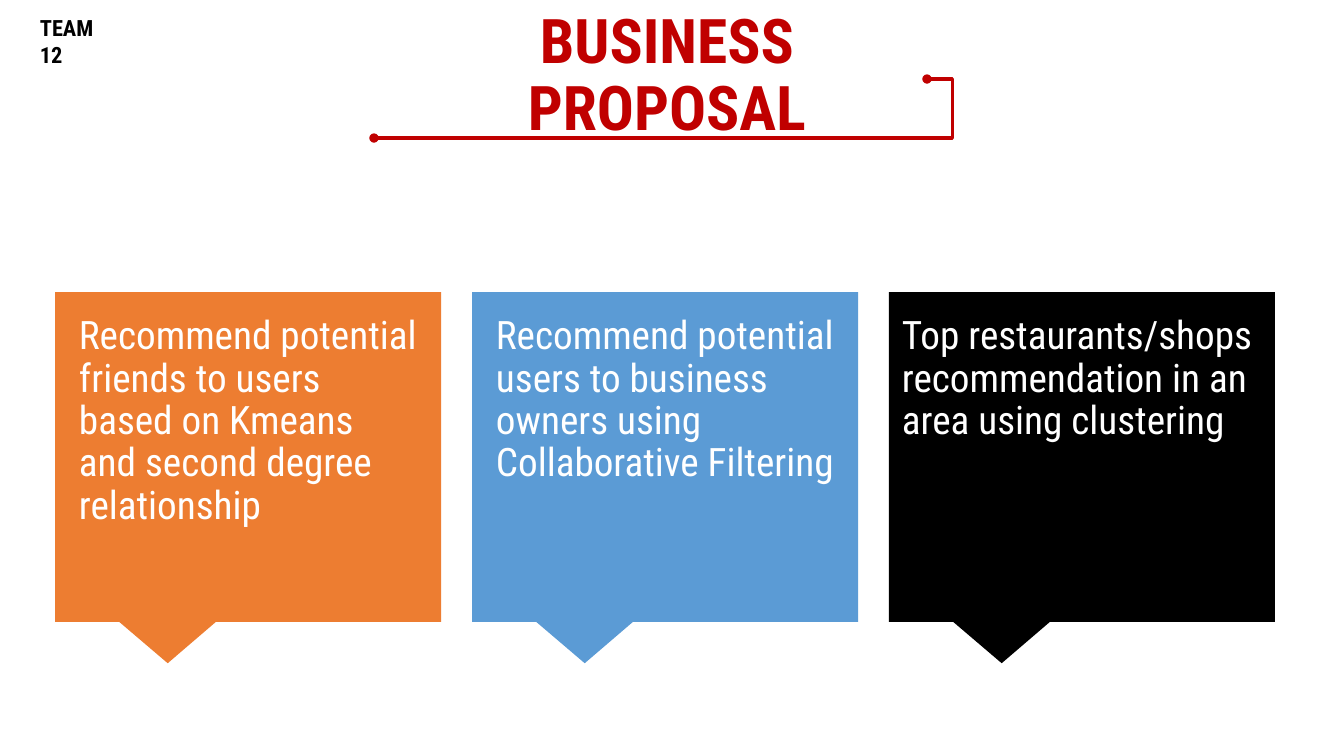
from dataclasses import dataclass

from lxml import etree
from pptx import Presentation
from pptx import util as u
from pptx.dml.color import RGBColor
from pptx.enum import shapes, text
from pptx.oxml.ns import qn

EMU_PER_PX = 914400 / 100.8
FONT = "Roboto Condensed"
RED, BLACK, WHITE = "C00000", "000000", "FFFFFF"

CARD_LEFT, CARD_TOP, CARD_WIDTH, CARD_HEIGHT = 55, 292, 386, 330
CARD_PITCH = 417
TEXT_TOP, TEXT_HEIGHT, TEXT_INSET = 303, 294, 13


@dataclass
class Proposal:
    wording: str
    fill: str
    side_gap: int


PROPOSALS = [
    Proposal("Recommend potential friends to users based on Kmeans "
             "and second degree relationship", "ED7D31", 11),
    Proposal("Recommend potential users to business owners using "
             "Collaborative Filtering", "5B9BD5", 11),
    Proposal("Top restaurants/shops recommendation in an area using clustering",
             BLACK, 0),
]


def px(length: int) -> u.Emu:
    return u.Emu(round(length * EMU_PER_PX))


def color(value: str) -> RGBColor:
    return RGBColor.from_string(value)


def write(frame, wording: str, size: int, fill: str, bold: bool = False):
    """Fill the frame with one formatted paragraph and return it."""
    frame.word_wrap = True
    frame.text = wording
    para = frame.paragraphs[0]
    for span in para.runs:
        span.font.name = FONT
        span.font.size = u.Pt(size)
        span.font.bold = bold
        span.font.color.rgb = color(fill)
    return para


def add_title(page) -> None:
    title = page.shapes.title
    title.left, title.top, title.width, title.height = map(px, (407, 38, 520, 78))
    frame = title.text_frame
    para = write(frame, "BUSINESS PROPOSAL", 44, RED, bold=True)
    para.alignment = text.PP_ALIGN.CENTER
    para.line_spacing = 0.9
    frame.vertical_anchor = text.MSO_ANCHOR.MIDDLE
    frame.auto_size = text.MSO_AUTO_SIZE.SHAPE_TO_FIT_TEXT


def add_title_rule(page) -> None:
    """Draw the bent line with round ends that underlines the title."""
    rule = page.shapes.add_connector(
        shapes.MSO_CONNECTOR.ELBOW, px(927), px(79), px(374), px(138))
    rule.line.color.rgb = color(RED)
    rule.line.width = u.Pt(2.25)
    properties = rule._element.spPr
    guides = properties.find(qn("a:prstGeom")).get_or_add_avLst()
    etree.SubElement(guides, qn("a:gd"), name="adj1", fmla="val -4600")
    outline = properties.find(qn("a:ln"))
    for end in ("a:headEnd", "a:tailEnd"):
        etree.SubElement(outline, qn(end), type="oval")
    etree.SubElement(properties, qn("a:effectLst"))


def add_team_label(page) -> None:
    label = page.shapes.add_textbox(px(30), px(9), px(81), px(37))
    write(label.text_frame, "TEAM 12", 16, BLACK, bold=True)
    label.text_frame.auto_size = text.MSO_AUTO_SIZE.SHAPE_TO_FIT_TEXT


def add_proposal(page, proposal: Proposal, left: int) -> None:
    card = page.shapes.add_shape(
        shapes.MSO_SHAPE.RECTANGULAR_CALLOUT,
        px(left), px(CARD_TOP), px(CARD_WIDTH), px(CARD_HEIGHT))
    card.adjustments[0] = -0.208
    card.adjustments[1] = 0.625
    card.fill.solid()
    card.fill.fore_color.rgb = color(proposal.fill)
    card.line.fill.background()
    card.shadow.inherit = False

    box = page.shapes.add_textbox(
        px(left + proposal.side_gap), px(TEXT_TOP),
        px(CARD_WIDTH - 2 * proposal.side_gap), px(TEXT_HEIGHT))
    frame = box.text_frame
    frame.margin_left = frame.margin_right = px(TEXT_INSET)
    frame.margin_top = frame.margin_bottom = px(TEXT_INSET)
    para = write(frame, proposal.wording, 28, WHITE)
    para.line_spacing = 0.9
    para.space_after = u.Pt(16)


def main() -> None:
    deck = Presentation()
    deck.slide_width, deck.slide_height = px(1344), px(756)
    page = deck.slides.add_slide(deck.slide_layouts.get_by_name("Title Only"))
    for index, proposal in enumerate(PROPOSALS):
        add_proposal(page, proposal, CARD_LEFT + index * CARD_PITCH)
    add_title(page)
    add_title_rule(page)
    add_team_label(page)
    deck.save("out.pptx")


if __name__ == "__main__":
    main()
